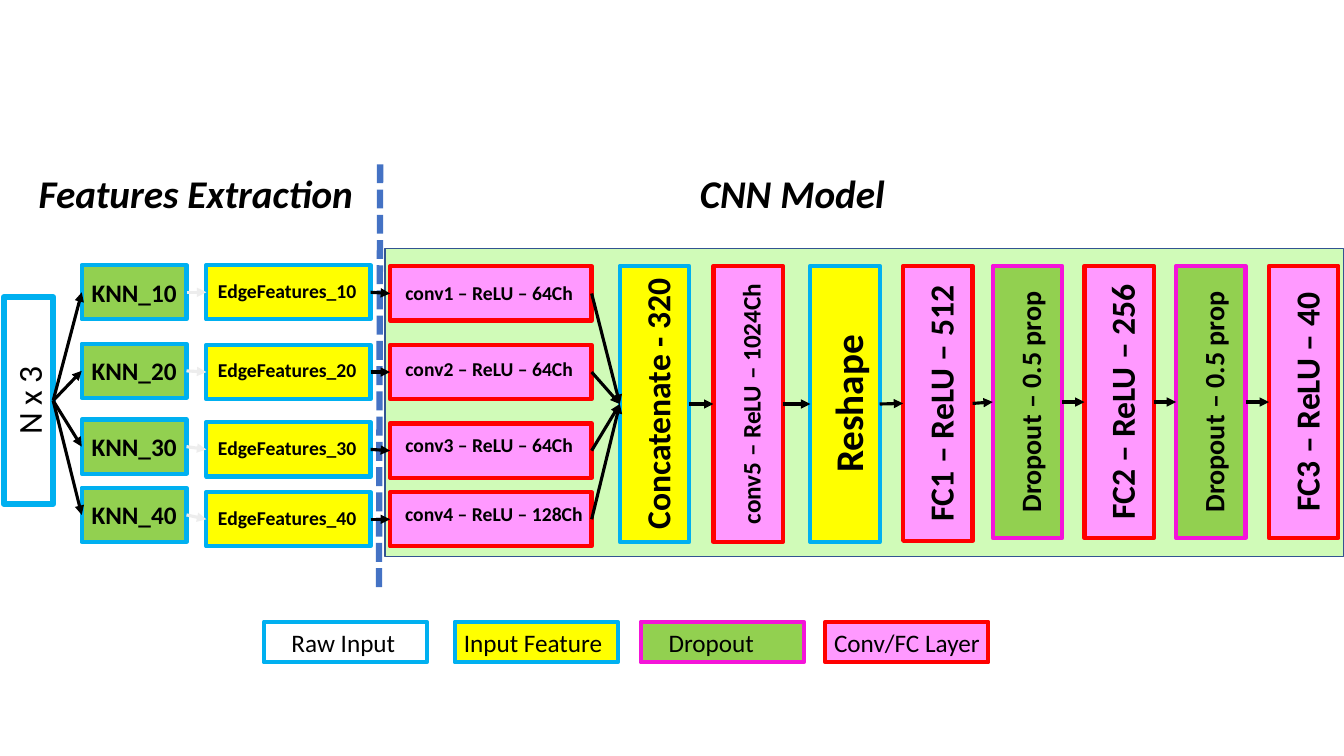
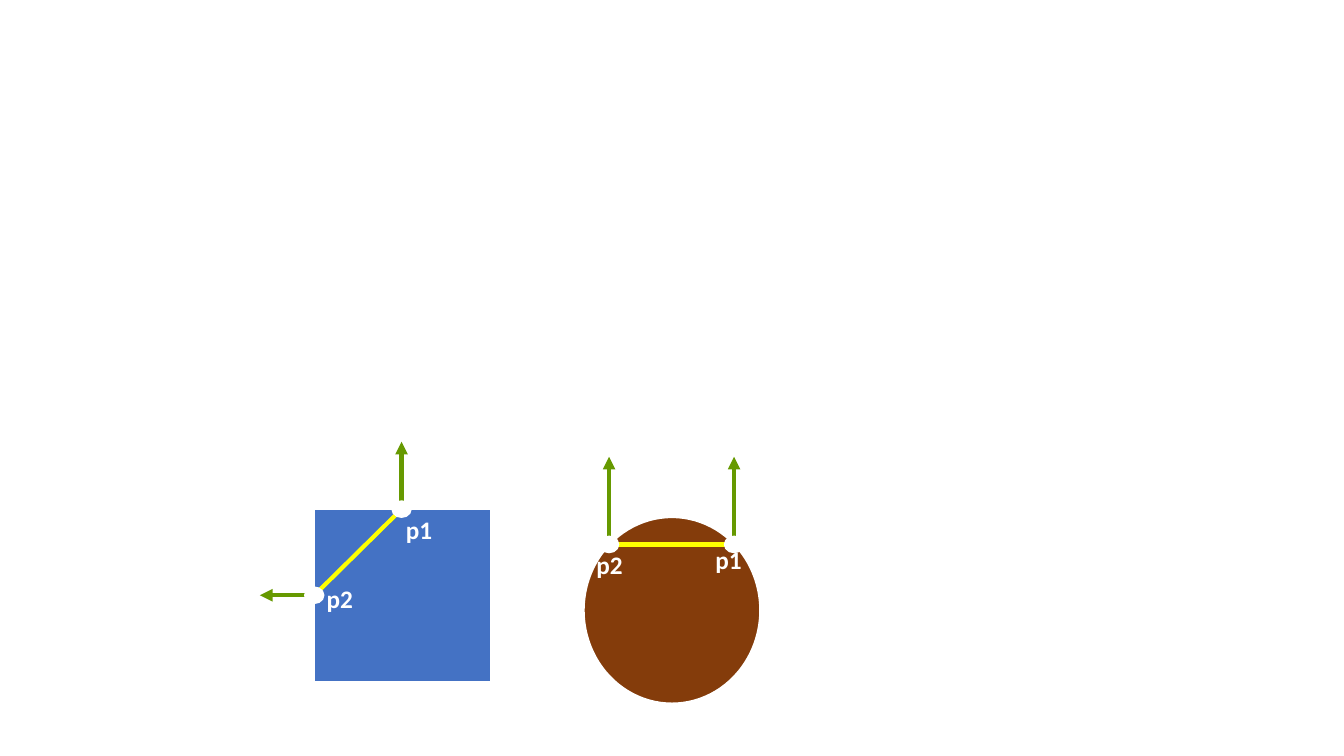
import lxml.etree
import pptx
import pptx.dml.color
import pptx.enum.dml
import pptx.enum.shapes
import pptx.enum.text
import pptx.oxml.ns
import pptx.util

Cm = pptx.util.Cm
Pt = pptx.util.Pt
FONT = "Calibri"
HUES = {
    "black": "000000", "white": "FFFFFF", "gray": "EDEDED",
    "blue": "4472C4", "sky": "00B0F0", "navy": "325491",
    "yellow": "FFFF00", "green": "92D050", "mint": "65F216",
    "olive": "669900", "pink": "FF99FF", "purple": "F414D9",
    "red": "FF0000", "brown": "843C0B",
}
# Fill and outline of each kind of layer
KINDS = {
    "raw": ("white", "sky"),
    "feature": ("yellow", "sky"),
    "knn": ("green", "sky"),
    "dropout": ("green", "purple"),
    "layer": ("pink", "red"),
}


def hue(name):
    return pptx.dml.color.RGBColor.from_string(HUES[name])


def child(node, tag, **attrs):
    return lxml.etree.SubElement(node, pptx.oxml.ns.qn(tag), **attrs)


def write(frame, text, size, color="black", bold=True, slant=False, center=True):
    """Put one formatted run in a text frame."""
    frame.word_wrap = True
    line = frame.paragraphs[0]
    align = pptx.enum.text.PP_ALIGN
    line.alignment = align.CENTER if center else align.LEFT
    run = line.add_run()
    run.text = text
    font = run.font
    font.name, font.size = FONT, Pt(size)
    font.bold, font.italic = bold, slant
    font.color.rgb = hue(color)


def shape(slide, at, fill, edge, width, form="RECTANGLE"):
    preset = getattr(pptx.enum.shapes.MSO_SHAPE, form)
    item = slide.shapes.add_shape(preset, *map(Cm, at))
    item.shadow.inherit = False
    item.fill.solid()
    item.fill.fore_color.rgb = hue(fill)
    item.line.color.rgb = hue(edge)
    item.line.width = Pt(width)
    return item


def block(slide, at, kind, text, size, bold=True, width=3, turn=False, shift=(0, 0)):
    """Labelled box; shift moves the label right and down."""
    item = shape(slide, at, *KINDS[kind], width)
    frame = item.text_frame
    right, down = shift
    frame.margin_left, frame.margin_right = Cm(max(2 * right, 0)), Cm(max(-2 * right, 0))
    frame.margin_top, frame.margin_bottom = Cm(max(2 * down, 0)), Cm(max(-2 * down, 0))
    frame.vertical_anchor = pptx.enum.text.MSO_ANCHOR.MIDDLE
    write(frame, text, size, bold=bold)
    if turn:
        item.text_frame._txBody.bodyPr.set("vert", "vert270")
    return item


def label(slide, at, text, size, **style):
    write(slide.shapes.add_textbox(*map(Cm, at)).text_frame, text, size, **style)


def wire(slide, start, end, color, width, arrow=False, dash=False):
    kind = pptx.enum.shapes.MSO_CONNECTOR.STRAIGHT
    item = slide.shapes.add_connector(kind, *map(Cm, start + end))
    item.line.color.rgb = hue(color)
    item.line.width = Pt(width)
    if dash:
        item.line.dash_style = pptx.enum.dml.MSO_LINE.SQUARE_DOT
    props = item._element.spPr
    if arrow:
        child(props.find(pptx.oxml.ns.qn("a:ln")), "a:tailEnd", type="triangle")
    child(props, "a:effectLst")
    return item


def join(slide, left, right, color="black"):
    """Arrow from the right side of one box to the left side of the next."""
    item = wire(slide, (0, 0), (0, 0), color, 2.25, arrow=True)
    item.begin_connect(left, 3)
    item.end_connect(right, 1)


def network(slide):
    # Model panel and divider
    panel = shape(slide, (9.7, 6.27, 24.16, 7.75), "mint", "navy", 1)
    tint = panel._element.spPr.find(".//" + pptx.oxml.ns.qn("a:srgbClr"))
    child(tint, "a:alpha", val="30000")
    wire(slide, (9.58, 4.14), (9.55, 14.88), "blue", 4.5, dash=True)

    # Headings
    for left, text in ((0.64, "Features Extraction"), (15.67, "CNN Model")):
        label(slide, (left, 4.14, 8.59, 1.45), text, 28, slant=True)

    # Input and tall layers
    source = block(slide, (0.1, 7.49, 1.24, 5.21), "raw", "N x 3", 24,
                   bold=False, width=4.5, turn=True)
    tall = [
        (15.62, 6.96, "feature", "Concatenate - 320", 24),
        (17.98, 6.96, "layer", "conv5 – ReLU – 1024Ch", 18),
        (20.42, 6.96, "feature", "Reshape", 28),
        (22.76, 6.93, "layer", "FC1 – ReLU – 512", 24),
        (25.02, 6.86, "dropout", "Dropout – 0.5 prop", 20),
        (27.33, 6.86, "layer", "FC2 – ReLU – 256", 24),
        (29.64, 6.86, "dropout", "Dropout – 0.5 prop", 20),
        (31.98, 6.86, "layer", "FC3 – ReLU – 40", 24),
    ]
    chain = [block(slide, (left, 6.7, 1.75, high), kind, text, size,
                   turn=True, shift=(0.06, 0))
             for left, high, kind, text, size in tall]

    # Four branches: tops of the three boxes, channels, label shift
    rows = [
        (6.68, 6.68, 6.71, 64, (-0.04, -0.03)),
        (8.66, 8.69, 8.69, 64, (-0.04, -0.08)),
        (10.57, 10.64, 10.67, 64, (-0.04, -0.15)),
        (12.29, 12.4, 12.4, 128, (0.08, -0.15)),
    ]
    for step, (near, edge, conv, depth, shift) in enumerate(rows, 1):
        knn = block(slide, (2.06, near, 2.64, 1.37), "knn", f"KNN_{step}0", 18)
        feature = block(slide, (5.2, edge, 4.14, 1.37), "feature",
                        f"EdgeFeatures_{step}0", 14, shift=(-0.03, -0.05))
        layer = block(slide, (9.83, conv, 5.08, 1.37), "layer",
                      f"conv{step} – ReLU – {depth}Ch", 14, shift=shift)
        join(slide, source, knn)
        join(slide, knn, feature, "gray")
        join(slide, feature, layer)
        join(slide, layer, chain[0])
    for left, right in zip(chain, chain[1:]):
        join(slide, left, right)

    # Legend
    legend = [
        (6.65, "raw", "Raw Input", -0.05),
        (11.46, "feature", "Input Feature", -0.08),
        (16.15, "dropout", "Dropout", -0.28),
        (20.8, "layer", "Conv/FC Layer", 0),
    ]
    for left, kind, text, right in legend:
        block(slide, (left, 15.67, 4.11, 1.02), kind, text, 18,
              bold=False, shift=(right, 0))


def normals(slide):
    # Each body with its two points: name, place, arrow tip, label corner
    bodies = [
        ("RECTANGLE", (7.92, 12.83, 4.45, 4.37), "blue", [
            ("p1", (10.12, 12.83), (10.12, 11.13), (9.98, 12.83)),
            ("p2", (7.92, 15), (6.55, 15), (7.98, 14.58))]),
        ("OVAL", (14.71, 13.03, 4.45, 4.7), "brown", [
            ("p1", (18.5, 13.72), (18.5, 11.51), (17.78, 13.59)),
            ("p2", (15.35, 13.72), (15.35, 11.51), (14.78, 13.72))]),
    ]
    wide, high = 0.48, 0.41
    for form, at, fill, points in bodies:
        shape(slide, at, fill, "white", 1.5, form)
        wire(slide, points[0][1], points[1][1], "yellow", 3)
        for name, spot, tip, corner in points:
            wire(slide, spot, tip, "olive", 3, arrow=True)
            dot = (spot[0] - wide / 2, spot[1] - high / 2, wide, high)
            shape(slide, dot, "white", "white", 1, "OVAL")
            label(slide, corner + (1.3, 1.02), name, 18, color="white", center=False)


def main():
    deck = pptx.Presentation()
    deck.slide_width, deck.slide_height = Cm(33.87), Cm(19.05)
    blank = deck.slide_layouts[6]
    for draw in (network, normals):
        draw(deck.slides.add_slide(blank))
    deck.save("out.pptx")


if __name__ == "__main__":
    main()
